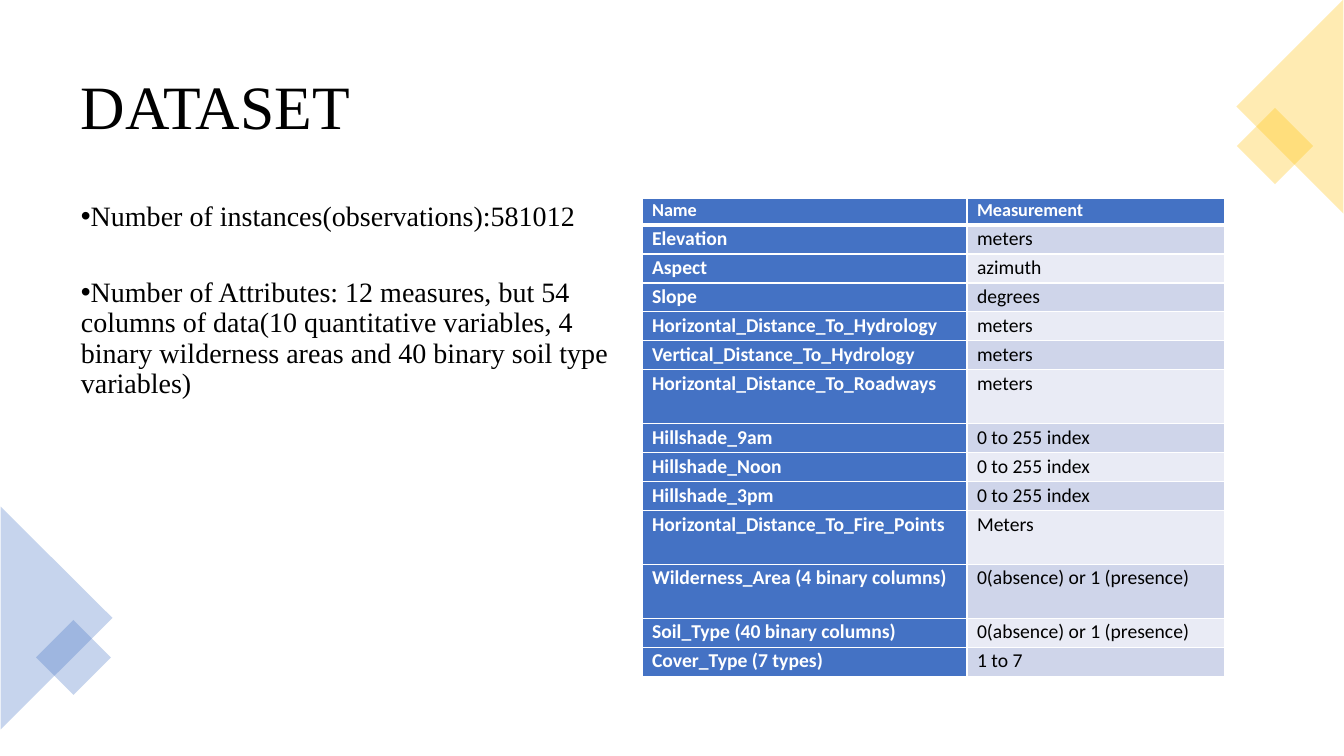
from lxml import etree
from pptx import Presentation
from pptx.dml.color import RGBColor
from pptx.enum.shapes import MSO_SHAPE
from pptx.enum.text import MSO_ANCHOR, PP_ALIGN
from pptx.oxml.ns import qn
from pptx.util import Emu, Pt

TRIANGLE, SQUARE = MSO_SHAPE.ISOSCELES_TRIANGLE, MSO_SHAPE.RECTANGLE
TOP, MIDDLE = MSO_ANCHOR.TOP, MSO_ANCHOR.MIDDLE
JUSTIFY = PP_ALIGN.JUSTIFY

BLACK = RGBColor(0x00, 0x00, 0x00)
WHITE = RGBColor(0xFF, 0xFF, 0xFF)
BLUE = RGBColor(0x44, 0x72, 0xC4)
GOLD = RGBColor(0xFF, 0xC0, 0x00)
BAND_DARK = RGBColor(0xCF, 0xD5, 0xEA)
BAND_LIGHT = RGBColor(0xE9, 0xEB, 0xF5)

FACTS = [
    "Number of instances(observations):581012",
    "Number of Attributes: 12 measures, but 54 columns of data(10 quantitative "
    "variables, 4 binary wilderness areas and 40 binary soil type variables)",
]
ATTRIBUTES = [
    ("Name", "Measurement"),
    ("Elevation", "meters"),
    ("Aspect", "azimuth"),
    ("Slope", "degrees"),
    ("Horizontal_Distance_To_Hydrology", "meters"),
    ("Vertical_Distance_To_Hydrology", "meters"),
    ("Horizontal_Distance_To_Roadways", "meters"),
    ("Hillshade_9am", "0 to 255 index"),
    ("Hillshade_Noon", "0 to 255 index"),
    ("Hillshade_3pm", "0 to 255 index"),
    ("Horizontal_Distance_To_Fire_Points", "Meters"),
    ("Wilderness_Area (4 binary columns)", "0(absence) or 1 (presence)"),
    ("Soil_Type (40 binary columns)", "0(absence) or 1 (presence)"),
    ("Cover_Type (7 types)", "1 to 7"),
]
HEADER_HEIGHT, ROW_HEIGHT, TALL_HEIGHT = 27, 29, 54
TALL_ROWS = (6, 10, 11)
COLUMN_WIDTHS = (325, 258)


def px(length):
    return Emu(round(length * 914400 / 100.8))


class Page:
    text_font = "Times New Roman"
    table_font = "Calibri"

    def __init__(self, deck):
        self.slide = deck.slides.add_slide(deck.slide_layouts[6])

    def style(self, para, font, size, color, bold=False):
        for span in para.runs:
            span.font.name = font
            span.font.size = Pt(size)
            span.font.color.rgb = color
            span.font.bold = bold

    def text(self, left, top, width, height, lines, size,
             anchor=TOP, bulleted=False, gap=0):
        box = self.slide.shapes.add_textbox(px(left), px(top), px(width), px(height))
        frame = box.text_frame
        frame.word_wrap = True
        frame.vertical_anchor = anchor
        frame.text = "\n".join(lines)
        for para in frame.paragraphs:
            para.line_spacing = 0.9
            para.space_after = Pt(gap)
            self.style(para, self.text_font, size, BLACK)
            if bulleted:
                self.bullet(para)

    def bullet(self, para):
        properties = para._p.get_or_add_pPr()
        properties.set("marL", "0")
        properties.set("indent", "-228600")
        etree.SubElement(properties, qn("a:buFont")).set("typeface", "Arial")
        etree.SubElement(properties, qn("a:buChar")).set("char", "•")

    def tint(self, kind, left, top, width, height, color, rotation):
        """Add a rotated shape filled with 30 % opaque colour."""
        shape = self.slide.shapes.add_shape(
            kind, px(left), px(top), px(width), px(height))
        shape.rotation = rotation
        shape.shadow.inherit = False
        shape.line.fill.background()
        shape.fill.solid()
        shape.fill.fore_color.rgb = color
        color_node = shape._element.spPr.find(".//" + qn("a:srgbClr"))
        etree.SubElement(color_node, qn("a:alpha")).set("val", "30000")

    def borders(self, cell, top, bottom):
        """Draw white cell edges; top and bottom are widths in points."""
        properties = cell._tc.get_or_add_tcPr()
        for side, width in (("L", 1), ("R", 1), ("T", top), ("B", bottom)):
            edge = etree.SubElement(properties, qn("a:ln" + side), w=str(Pt(width)))
            fill = etree.SubElement(edge, qn("a:solidFill"))
            etree.SubElement(fill, qn("a:srgbClr")).set("val", str(WHITE))

    def cell(self, cell, text, row, column):
        is_label = row == 0 or column == 0
        cell.margin_left = cell.margin_right = Emu(91440)
        cell.margin_top = cell.margin_bottom = 0
        self.borders(cell, 3 if row == 1 else 1, 3 if row == 0 else 1)
        cell.fill.solid()
        band = BAND_DARK if row % 2 else BAND_LIGHT
        cell.fill.fore_color.rgb = BLUE if is_label else band
        cell.text_frame.text = text
        para = cell.text_frame.paragraphs[0]
        para.alignment = JUSTIFY
        para.line_spacing = 1.07
        self.style(para, self.table_font, 14 if row else 13,
                   WHITE if is_label else BLACK, is_label)

    def table(self, left, top, widths, heights, rows):
        table = self.slide.shapes.add_table(
            len(rows), len(widths), px(left), px(top),
            px(sum(widths)), px(sum(heights))).table
        for column, width in zip(table.columns, widths):
            column.width = px(width)
        for row, (height, values) in enumerate(zip(heights, rows)):
            table.rows[row].height = px(height)
            for column, value in enumerate(values):
                self.cell(table.cell(row, column), value, row, column)


def main():
    deck = Presentation()
    deck.slide_width, deck.slide_height = px(1344), px(756)
    page = Page(deck)

    page.text(71, 47, 1203, 125, ["DATASET"], 44, anchor=MIDDLE)
    page.text(71, 197, 571, 485, FACTS, 20, bulleted=True, gap=33)

    page.tint(TRIANGLE, -55, 562, 223, 112, BLUE, 90)
    page.tint(SQUARE, 47, 631, 53, 53, BLUE, 45)
    page.tint(SQUARE, 1248, 119, 54, 54, GOLD, 45)
    page.tint(TRIANGLE, 1183, 53, 214, 107, GOLD, 270)

    heights = [TALL_HEIGHT if row in TALL_ROWS else ROW_HEIGHT
               for row in range(len(ATTRIBUTES))]
    heights[0] = HEADER_HEIGHT
    page.table(642, 198, COLUMN_WIDTHS, heights, ATTRIBUTES)

    deck.save("out.pptx")


if __name__ == "__main__":
    main()
